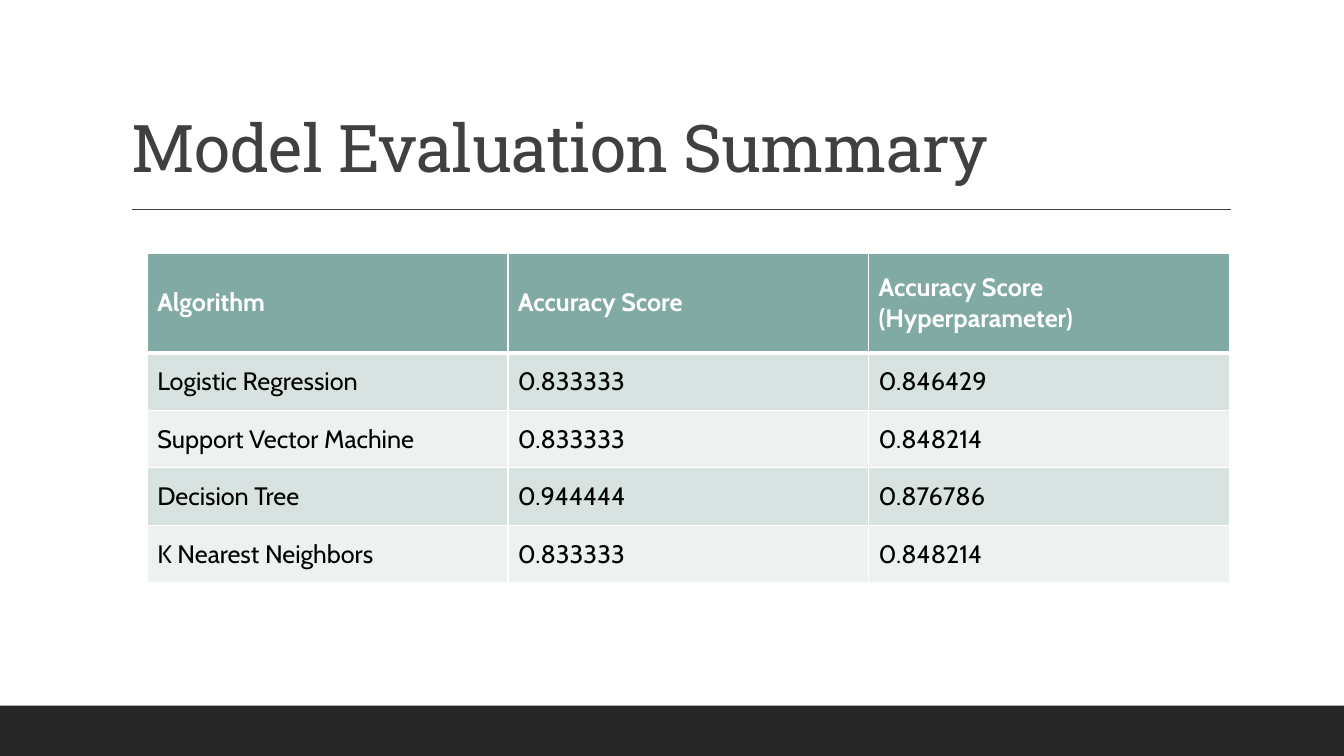
from dataclasses import dataclass

from lxml import etree
from pptx import Presentation
from pptx import util as u
from pptx.dml.color import RGBColor
from pptx.enum import shapes, text
from pptx.oxml import ns


@dataclass(frozen=True)
class Theme:
    heading_font: str = "Roboto Slab"
    body_font: str = "Cabin"
    title_size: int = 47
    table_size: int = 18
    ink: str = "404040"
    footer: str = "262626"
    header: str = "80AAA3"
    bands: tuple = ("D8E2E0", "EDF1F0")
    black: str = "000000"
    white: str = "FFFFFF"


THEME = Theme()

ROWS = [
    ("Algorithm", "Accuracy Score", "Accuracy Score (Hyperparameter)"),
    ("Logistic Regression", "0.833333", "0.846429"),
    ("Support Vector Machine", "0.833333", "0.848214"),
    ("Decision Tree", "0.944444", "0.876786"),
    ("K Nearest Neighbors", "0.833333", "0.848214"),
]


def style_font(font, name, size, color, bold=False):
    font.name = name
    font.size = u.Pt(size)
    font.bold = bold
    font.color.rgb = RGBColor.from_string(color)


def fill_solid(fill, color):
    fill.solid()
    fill.fore_color.rgb = RGBColor.from_string(color)


def add_footer_bar(slide, width):
    bar = slide.shapes.add_shape(
        shapes.MSO_SHAPE.RECTANGLE, 0, u.Cm(17.78), width, u.Cm(1.27)
    )
    bar.shadow.inherit = False
    fill_solid(bar.fill, THEME.footer)
    bar.line.fill.background()


def add_rule(slide):
    rule = slide.shapes.add_connector(
        shapes.MSO_CONNECTOR.STRAIGHT, u.Cm(3.33), u.Cm(5.28), u.Cm(31.01), u.Cm(5.28)
    )
    rule.line.color.rgb = RGBColor.from_string(THEME.ink)
    rule.line.width = u.Pt(1)
    etree.SubElement(rule._element.spPr, ns.qn("a:effectLst"))


def set_title(slide, wording):
    title = slide.shapes.title
    title.left, title.top = u.Cm(3.05), u.Cm(0.79)
    title.width, title.height = u.Cm(27.94), u.Cm(4.04)
    frame = title.text_frame
    frame.text = wording
    frame.word_wrap = True
    frame.auto_size = text.MSO_AUTO_SIZE.NONE
    frame.vertical_anchor = text.MSO_ANCHOR.BOTTOM
    paragraph = frame.paragraphs[0]
    paragraph.alignment = text.PP_ALIGN.LEFT
    paragraph.line_spacing = 0.9
    style_font(paragraph.font, THEME.heading_font, THEME.title_size, THEME.ink)
    paragraph.runs[0]._r.get_or_add_rPr().set("spc", "-50")


def set_borders(cell, top, bottom):
    properties = cell._tc.get_or_add_tcPr()
    for side, points in (("L", 1), ("R", 1), ("T", top), ("B", bottom)):
        line = etree.SubElement(properties, ns.qn(f"a:ln{side}"), w=str(u.Pt(points)))
        solid = etree.SubElement(line, ns.qn("a:solidFill"))
        etree.SubElement(solid, ns.qn("a:srgbClr"), val=THEME.white)


def format_cell(cell, wording, row):
    is_header = row == 0
    cell.text = wording
    cell.vertical_anchor = text.MSO_ANCHOR.MIDDLE
    set_borders(cell, top=3 if row == 1 else 1, bottom=3 if is_header else 1)
    fill_solid(cell.fill, THEME.header if is_header else THEME.bands[(row - 1) % 2])
    style_font(
        cell.text_frame.paragraphs[0].font,
        THEME.body_font,
        THEME.table_size,
        THEME.white if is_header else THEME.black,
        bold=is_header,
    )


def add_score_table(slide, rows):
    frame = slide.shapes.add_table(
        len(rows), len(rows[0]), u.Cm(3.71), u.Cm(6.38), u.Cm(27.27), u.Cm(8.33)
    )
    table = frame.table
    for column in table.columns:
        column.width = u.Cm(9.09)
    for row, values in enumerate(rows):
        table.rows[row].height = u.Cm(1.45 if row else 2.51)
        for column, value in enumerate(values):
            format_cell(table.cell(row, column), value, row)


def main():
    presentation = Presentation()
    presentation.slide_width = u.Cm(33.87)
    presentation.slide_height = u.Cm(19.05)
    slide = presentation.slides.add_slide(presentation.slide_layouts[5])
    fill_solid(slide.background.fill, THEME.white)
    add_footer_bar(slide, presentation.slide_width)
    add_rule(slide)
    set_title(slide, "Model Evaluation Summary")
    add_score_table(slide, ROWS)
    presentation.save("out.pptx")


if __name__ == "__main__":
    main()
